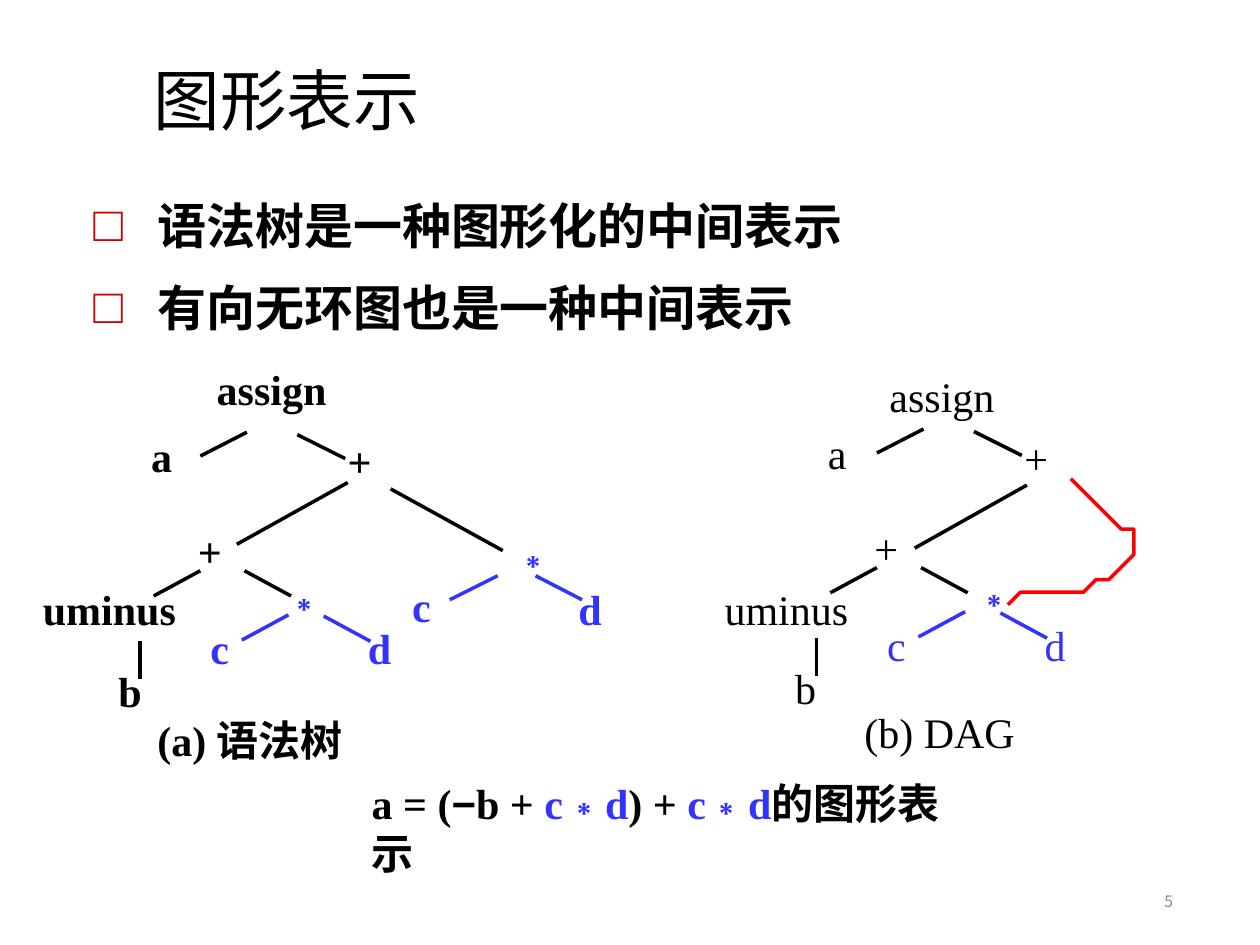
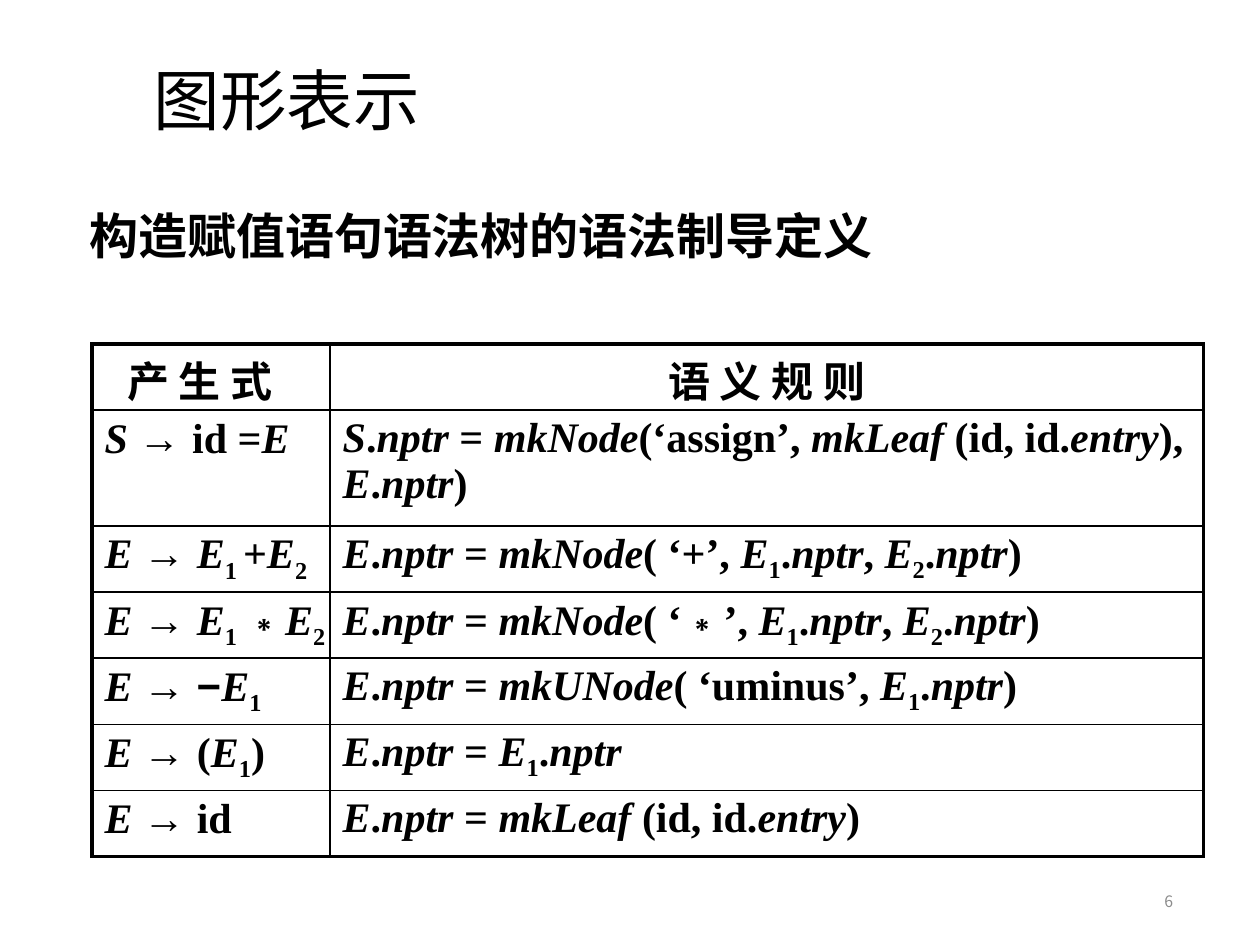
from dataclasses import dataclass
from itertools import groupby

from lxml.etree import SubElement as sub
from pptx import Presentation
from pptx.dml.color import RGBColor as RGB
from pptx.enum.shapes import MSO_CONNECTOR as LINE
from pptx.enum.text import MSO_ANCHOR as ANCHOR, PP_ALIGN as ALIGN
from pptx.oxml.ns import qn
from pptx.util import Inches, Pt


@dataclass(frozen=True)
class Theme:
    black: str = "000000"
    blue: str = "3333FF"
    red: str = "FF0000"
    bullet: str = "CC0000"
    gray: str = "8C8C8C"
    latin: str = "Times New Roman"
    symbol: str = "Arial"
    han: str = "Noto Sans CJK SC"
    title: int = 38
    head: int = 28
    body: int = 24
    page: int = 9
    thin: float = 1
    edge: float = 2
    frame: float = 2.25


T = Theme()
COLS, ROWS = 100, 75
UNIT = Inches(0.1)  # side of one grid square

deck = Presentation()
deck.slide_width, deck.slide_height = COLS * UNIT, ROWS * UNIT


def box(slide, x, y, w, h=4.3, top=0.1, anchor=ANCHOR.TOP):
    """Add a text box, measured in grid squares, and return its frame."""
    frame = slide.shapes.add_textbox(*[int(n * UNIT) for n in (x, y, w, h)]).text_frame
    frame.word_wrap = True
    frame.vertical_anchor = anchor
    frame.margin_left = frame.margin_right = frame.margin_bottom = 0
    frame.margin_top = int(top * UNIT)
    return frame


def write(frame, text, size=T.body, color=T.black, bold=False, font=None,
          align=None, before=0, left=0, hang=0, bullet=None):
    """Add a paragraph; / toggles italic, _ subscript and ` blue."""
    para = frame.paragraphs[-1]
    if para.runs:
        para = frame.add_paragraph()
    prop = para._p.get_or_add_pPr()
    prop.set("marL", str(int(left * UNIT)))
    prop.set("indent", str(int(-hang * UNIT)))
    if bullet:
        sub(sub(prop, qn("a:buClr")), qn("a:srgbClr"), val=T.bullet)
        sub(prop, qn("a:buFont"), typeface=T.symbol)
        sub(prop, qn("a:buChar"), char=bullet)
    para.alignment = align
    if before:
        para.space_before = Pt(before)

    on = dict.fromkeys("/_`", False)
    face = font or T.latin
    marks = []
    for char in text:
        if char in on:
            on[char] = not on[char]
            continue
        if not font and char != " ":
            face = T.han if char >= "一" else T.symbol if char in "→−∗" else T.latin
        marks.append((char, (face, *on.values())))
    for (face, slant, low, blue), group in groupby(marks, key=lambda mark: mark[1]):
        run = para.add_run()
        run.text = "".join(char for char, _ in group)
        run.font.name, run.font.size = face, Pt(size)
        run.font.bold, run.font.italic = bold, slant
        run.font.color.rgb = RGB.from_string(T.blue if blue else color)
        prop = run._r.get_or_add_rPr()
        if low:
            prop.set("baseline", "-24000")
        if face == T.han:
            sub(prop, qn("a:ea"), typeface=face)


# Parts found on both slides
slides = []
for page in (5, 6):
    slide = deck.slides.add_slide(deck.slide_layouts[6])
    write(box(slide, 12.2, 4.5, 21.4, 6.6, anchor=ANCHOR.MIDDLE), "图形表示", size=T.title)
    write(box(slide, 70.6, 69.5, 22.5, 4, anchor=ANCHOR.MIDDLE), str(page),
          size=T.page, color=T.gray, font=T.han, align=ALIGN.RIGHT)
    slides.append(slide)
trees, rules = slides

# Slide 5: syntax tree and DAG
frame = box(trees, 7.2, 13.5, 69.9, 19.5, top=2)
for text, gap in (("语法树是一种图形化的中间表示", 0), ("有向无环图也是一种中间表示", 13.4)):
    write(frame, text, size=T.head, bold=True, before=gap, left=5.3, hang=5.1, bullet="□")
write(frame, "assign", bold=True, before=15.6, left=10)

# Labels are (text, x, y, width); edges are (x, y, x, y, colour)
labels = [("a", 12, 34.1, 1.9), ("+", 27.6, 34.5, 2.2), ("+", 15.7, 41.6, 2.2),
          ("b", 9.4, 52.7, 2.1), ("`c", 16.7, 49.3, 1.8), ("`d", 29.2, 49.3, 2.1)]
edges = [(19.6, 34.3, 15.9, 36.2, T.black), (23.6, 34.5, 27.4, 36.4, T.black),
         (15.9, 45.3, 12.2, 47.3, T.black), (19.4, 45.3, 23.1, 47.3, T.black),
         (22.9, 48.8, 19.2, 50.8, T.blue), (25.7, 48.9, 29.4, 50.9, T.blue),
         (11.1, 50.9, 11.1, 53.9, T.black)]
tree = dict(
    move=(0, 0), bold=True,
    labels=[("`∗", 22.5, 45.4, 1.9), ("`∗", 40.7, 42, 2), ("`c", 32.7, 46, 1.8),
            ("`d", 45.9, 46.2, 2.1), ("uminus", 3.4, 46.2, 10.8),
            ("(a) 语法树", 12.5, 56.6, 15),
            ("a = (−b + `c∗d`) + `c∗d`的图形表示", 29.5, 61.6, 45.3)],
    edges=[(27.6, 38.3, 18.8, 43.2, T.black), (31, 38.8, 39.9, 43.7, T.black),
           (39.5, 45.7, 35.7, 47.6, T.blue), (42.5, 45.7, 46.2, 47.6, T.blue)])
dag = dict(
    move=(53.7, -0.25), bold=False,
    labels=[("assign", 70.6, 29.3, 8.6), ("`∗", 77.3, 45.1, 1.9),
            ("uminus", 57.5, 46.2, 10.1), ("(b) DAG", 68.6, 56, 12.2)],
    edges=[(81.5, 38.5, 72.6, 43.5, T.black)])

for graph in (tree, dag):
    dx, dy = graph["move"]
    names = [(text, x + dx, y + dy, w) for text, x, y, w in labels]
    for text, x, y, w in names + graph["labels"]:
        write(box(trees, x, y, w), text, bold=graph["bold"])
    lines = [(a + dx, b + dy, c + dx, d + dy, color) for a, b, c, d, color in edges]
    for *ends, color in lines + graph["edges"]:
        line = trees.shapes.add_connector(LINE.STRAIGHT, *[int(n * UNIT) for n in ends])
        line.line.color.rgb = RGB.from_string(color)
        line.line.width = Pt(T.edge)
        sub(line._element.spPr, qn("a:effectLst"))

bend = [(84.7, 38.5), (85.9, 39.3), (87, 40), (88.1, 40.8), (88.9, 41.5), (89.5, 42.4),
        (89.7, 43.5), (89.5, 44.5), (89, 45.2), (88.2, 45.8), (87.2, 46.3), (85.9, 46.7),
        (84.4, 47), (82.5, 47.3), (81.4, 47.4), (80, 47.6)]
pen = trees.shapes.build_freeform(*bend[0], scale=UNIT)
pen.add_line_segments(bend[1:], close=False)
curve = pen.convert_to_shape()
curve.shadow.inherit = False
curve.fill.background()
curve.line.color.rgb = RGB.from_string(T.red)
curve.line.width = Pt(T.edge)

# Slide 6: table of semantic rules
write(box(rules, 7.1, 15.1, 67.2, 5.9, top=1.2), "构造赋值语句语法树的语法制导定义",
      size=T.head, bold=True)
cells = [
    ("产 生 式", "语 义 规 则"),
    ("/S/ → id =/E/",
     "/S/./nptr/ = /mkNode/(‘assign’, /mkLeaf /(id, id./entry/),\n/E/./nptr/)"),
    ("/E/ → /E/_1 _+/E/_2_",
     "/E/./nptr/ = /mkNode/( ‘+’, /E/_1_./nptr/, /E/_2_./nptr/)"),
    ("/E/ → /E/_1 _∗/E/_2_",
     "/E/./nptr/ = /mkNode/( ‘∗’, /E/_1_./nptr/, /E/_2_./nptr/)"),
    ("/E/ → −/E/_1_", "/E/./nptr/ = /mkUNode/( ‘uminus’, /E/_1_./nptr/)"),
    ("/E/ → (/E/_1_)", "/E/./nptr/ = /E/_1_./nptr/"),
    ("/E/ → id", "/E/./nptr/ = /mkLeaf /(id, id./entry/)"),
]
wide, tall, deep = (18.9, 69.3), 40.7, 9.2
last = len(cells) - 1
place = [int(n * UNIT) for n in (7.3, 27.3, sum(wide), tall)]
grid = rules.shapes.add_table(len(cells), len(wide), *place).table
grid.first_row = grid.horz_banding = False
for col, width in zip(grid.columns, wide):
    col.width = int(width * UNIT)
for r, row in enumerate(cells):
    grid.rows[r].height = int((deep if r == 1 else (tall - deep) / last) * UNIT)
    for c, text in enumerate(row):
        cell = grid.cell(r, c)
        cell.margin_left = cell.margin_right = cell.margin_bottom = 0
        cell.margin_top = int(0.4 * UNIT)
        left, align = (1, None) if r else ((2.8, None), (0, ALIGN.CENTER))[c]
        for part in text.split("\n"):
            write(cell.text_frame, part, bold=True, left=left, align=align)
        prop = cell._tc.get_or_add_tcPr()
        for side, outer in (("L", c == 0), ("R", c == 1), ("T", r == 0), ("B", r == last)):
            width = Pt(T.frame if outer else T.thin)
            rim = sub(prop, qn("a:ln" + side), w=str(width))
            sub(sub(rim, qn("a:solidFill")), qn("a:srgbClr"), val=T.black)
        cell.fill.background()

deck.save("out.pptx")
